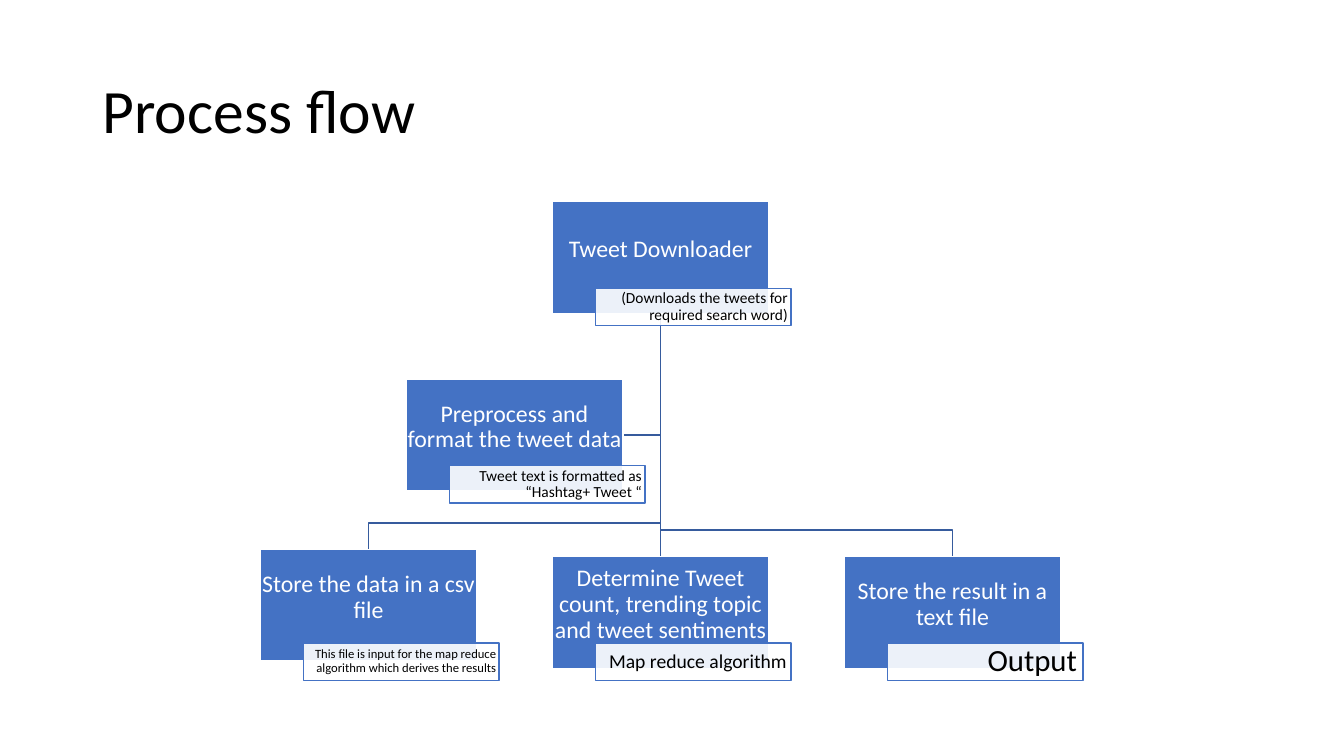
from dataclasses import dataclass

import pptx
import pptx.dml.color
import pptx.enum.shapes
import pptx.enum.text
import pptx.oxml
import pptx.oxml.ns
import pptx.shapes.base
import pptx.shapes.group
import pptx.util

RGBColor = pptx.dml.color.RGBColor
Inches = pptx.util.Inches
Align = pptx.enum.text.PP_ALIGN

BLUE = RGBColor(0x44, 0x72, 0xC4)
LINE_BLUE = RGBColor(0x36, 0x5B, 0x9D)
WHITE = RGBColor(0xFF, 0xFF, 0xFF)
BLACK = RGBColor(0x00, 0x00, 0x00)
FONT = "Calibri"

SLIDE_WIDTH, SLIDE_HEIGHT = 13.33, 7.5
GRID_LEFT, GRID_TOP = 2.58, 2.0
COLUMN_PITCH, ROW_PITCH = 1.448, 1.76
STEP_WIDTH, STEP_HEIGHT = 2.15, 1.11
CAPTION_WIDTH, CAPTION_HEIGHT = 1.94, 0.37
CAPTION_INDENT, CAPTION_DROP = 0.43, 0.86
BRANCH_GAP = 0.26


@dataclass(frozen=True)
class Step:
    column: int
    row: int
    title: str
    caption: str
    caption_size: int
    caption_inset: float = 0.03
    lift: float = 0.0

    @property
    def left(self) -> float:
        return GRID_LEFT + self.column * COLUMN_PITCH

    @property
    def top(self) -> float:
        return GRID_TOP + self.row * ROW_PITCH - self.lift

    @property
    def center(self) -> float:
        return self.left + STEP_WIDTH / 2


DOWNLOAD = Step(2, 0, "Tweet Downloader", "(Downloads the tweets for required search word)", 11)
PREPROCESS = Step(1, 1, "Preprocess and format the tweet data",
                  "Tweet text is formatted as “Hashtag+ Tweet “", 11)
STORE_DATA = Step(0, 2, "Store the data in a csv file",
                  "This file is input for the map reduce algorithm which derives the results",
                  9, lift=0.07)
DETERMINE = Step(2, 2, "Determine Tweet count, trending topic and tweet sentiments",
                 "Map reduce algorithm", 14, 0.04)
STORE_RESULT = Step(4, 2, "Store the result in a text file", "Output", 22, 0.06)


def write_text(shape: pptx.shapes.base.BaseShape, text: str, size: int, color: RGBColor,
               alignment: Align, insets: tuple[float, float, float, float]) -> None:
    frame = shape.text_frame
    frame.word_wrap = True
    frame.vertical_anchor = pptx.enum.text.MSO_ANCHOR.MIDDLE
    frame.margin_left, frame.margin_top, frame.margin_right, frame.margin_bottom = map(Inches, insets)
    paragraph = frame.paragraphs[0]
    paragraph.alignment = alignment
    paragraph.line_spacing = 0.9
    run = paragraph.add_run()
    run.text = text
    run.font.name = FONT
    run.font.size = pptx.util.Pt(size)
    run.font.color.rgb = color


def draw_box(group: pptx.shapes.group.GroupShape, left: float, top: float, width: float,
             height: float, fill: RGBColor, line: RGBColor) -> pptx.shapes.base.BaseShape:
    box = group.shapes.add_shape(pptx.enum.shapes.MSO_SHAPE.RECTANGLE,
                                 Inches(left), Inches(top), Inches(width), Inches(height))
    box.shadow.inherit = False
    box.fill.solid()
    box.fill.fore_color.rgb = fill
    box.line.color.rgb = line
    box.line.width = pptx.util.Pt(1)
    return box


def draw_step(group: pptx.shapes.group.GroupShape, step: Step) -> None:
    box = draw_box(group, step.left, step.top, STEP_WIDTH, STEP_HEIGHT, BLUE, WHITE)
    write_text(box, step.title, 17, WHITE, Align.CENTER, (0.01, 0.01, 0.01, 0.16))
    caption = draw_box(group, step.left + CAPTION_INDENT, step.top + step.lift + CAPTION_DROP,
                       CAPTION_WIDTH, CAPTION_HEIGHT, WHITE, BLUE)
    color = caption.fill._xPr.find(".//" + pptx.oxml.ns.qn("a:srgbClr"))
    color.append(pptx.oxml.parse_xml(
        f'<a:alpha {pptx.oxml.ns.nsdecls("a")} val="90000"/>'))
    inset = step.caption_inset
    write_text(caption, step.caption, step.caption_size, BLACK, Align.RIGHT,
               (inset, 0.01, inset, 0.01))


def draw_route(group: pptx.shapes.group.GroupShape, points: list[tuple[float, float]]) -> None:
    corners = [(Inches(x), Inches(y)) for x, y in points]
    builder = group.shapes.build_freeform(*corners[0])
    builder.add_line_segments(corners[1:], close=False)
    route = builder.convert_to_shape()
    route.shadow.inherit = False
    route.fill.background()
    route.line.color.rgb = LINE_BLUE
    route.line.width = pptx.util.Pt(1)


def draw_trunk(group: pptx.shapes.group.GroupShape, x: float, top: float, bottom: float) -> None:
    trunk = group.shapes.add_connector(pptx.enum.shapes.MSO_CONNECTOR.STRAIGHT,
                                       Inches(x), Inches(top), Inches(x), Inches(bottom))
    trunk.line.color.rgb = LINE_BLUE
    trunk.line.width = pptx.util.Pt(1)
    trunk._element.spPr.append(pptx.oxml.parse_xml(
        f'<a:effectLst {pptx.oxml.ns.nsdecls("a")}/>'))


def main() -> None:
    presentation = pptx.Presentation()
    presentation.slide_width = Inches(SLIDE_WIDTH)
    presentation.slide_height = Inches(SLIDE_HEIGHT)
    slide = presentation.slides.add_slide(presentation.slide_layouts[6])

    title = slide.shapes.add_textbox(Inches(0.92), Inches(0.4), Inches(11.5), Inches(1.45))
    write_text(title, "Process flow", 44, BLACK, Align.LEFT, (0.1, 0.05, 0.1, 0.05))

    flow = slide.shapes.add_group_shape()
    trunk_x, trunk_top = DOWNLOAD.center, DOWNLOAD.top + STEP_HEIGHT
    side_y = PREPROCESS.top + STEP_HEIGHT / 2
    draw_route(flow, [(trunk_x, trunk_top), (trunk_x, side_y),
                      (PREPROCESS.left + STEP_WIDTH, side_y)])
    for step in (STORE_RESULT, STORE_DATA):
        branch_y = step.top - BRANCH_GAP
        draw_route(flow, [(trunk_x, trunk_top), (trunk_x, branch_y),
                          (step.center, branch_y), (step.center, step.top)])
    draw_trunk(flow, trunk_x, trunk_top, DETERMINE.top)
    for step in (DOWNLOAD, STORE_DATA, DETERMINE, STORE_RESULT, PREPROCESS):
        draw_step(flow, step)

    presentation.save("out.pptx")


main()
